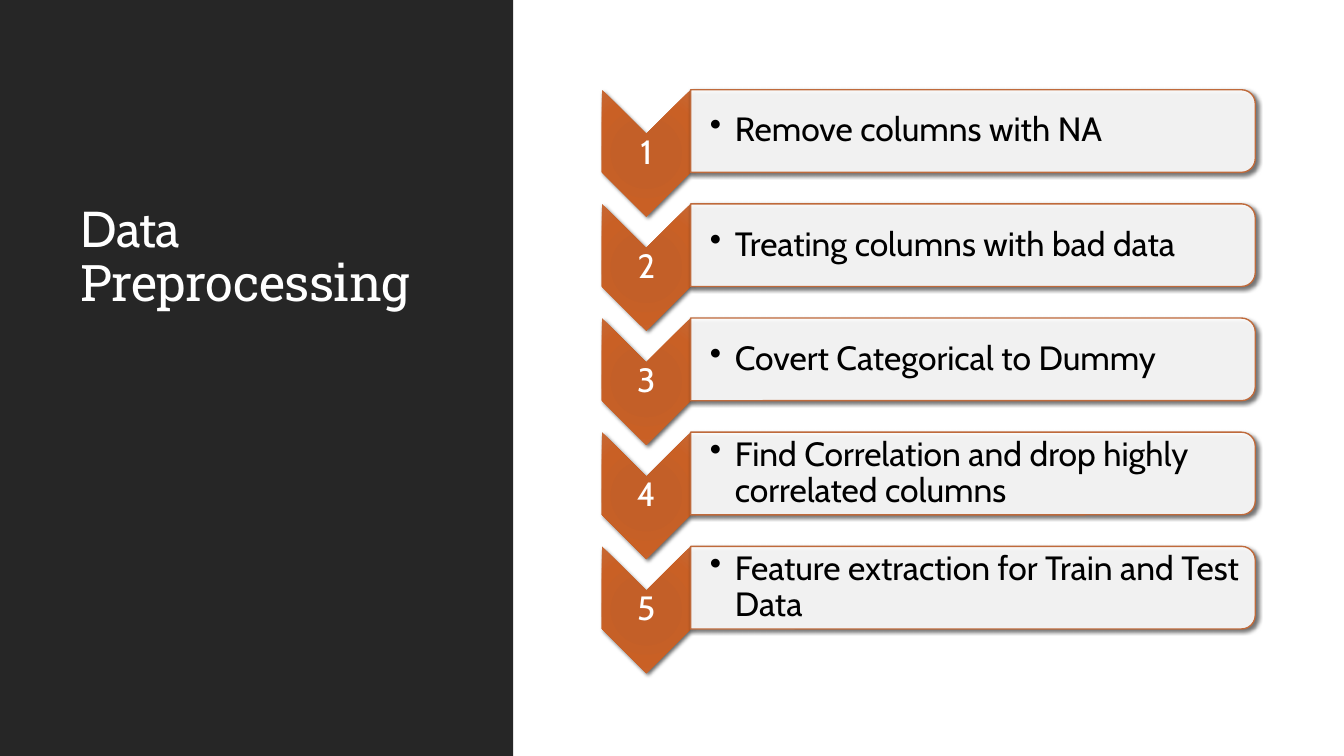
import pptx
import pptx.dml.color
import pptx.enum.shapes
import pptx.enum.text
import pptx.oxml
import pptx.oxml.ns
import pptx.util
from pptx.util import Inches

RGBColor = pptx.dml.color.RGBColor
MSO_SHAPE = pptx.enum.shapes.MSO_SHAPE
ANCHOR = pptx.enum.text.MSO_ANCHOR
ALIGN = pptx.enum.text.PP_ALIGN

WHITE = RGBColor(0xFF, 0xFF, 0xFF)
BLACK = RGBColor(0x00, 0x00, 0x00)
PANEL = RGBColor(0x26, 0x26, 0x26)
BAR_LINE = RGBColor(0xBF, 0x6A, 0x3B)
CHEVRON_STOPS = [
    (0, RGBColor(0xC4, 0x5D, 0x25)),
    (34, RGBColor(0xC3, 0x5F, 0x28)),
    (70, RGBColor(0xC9, 0x60, 0x25)),
    (100, RGBColor(0xC6, 0x68, 0x34)),
]

BODY_FONT = "Cabin"
TITLE_FONT = "Roboto Slab"

STEPS = [
    "Remove columns with NA",
    "Treating columns with bad data",
    "Covert Categorical to Dummy",
    "Find Correlation and drop highly correlated columns",
    "Feature extraction for Train and Test Data",
]
FIRST_TOP = 0.89
STEP_PITCH = 4.53 / 4  # first step to last step, in four equal gaps


def xml(text):
    return pptx.oxml.parse_xml(text.replace(">", f" {pptx.oxml.ns.nsdecls('a')}>", 1))


def add_panel(slide):
    sp = slide.shapes.add_shape(MSO_SHAPE.RECTANGLE, 0, 0, Inches(5.09), Inches(7.5))
    sp.shadow.inherit = False
    sp.fill.solid()
    sp.fill.fore_color.rgb = PANEL
    sp.line.fill.background()


def style_run(r, size, color, font=BODY_FONT):
    r.font.size = pptx.util.Pt(size)
    r.font.name = font
    r.font.color.rgb = color


def add_text_box(slide, left, top, width, height, anchor):
    """Add a wrapping text box and return it with its first paragraph."""
    sp = slide.shapes.add_textbox(Inches(left), Inches(top), Inches(width), Inches(height))
    tf = sp.text_frame
    tf.word_wrap = True
    tf.vertical_anchor = anchor
    p = tf.paragraphs[0]
    p.line_spacing = 0.9
    return tf, p


def add_title(slide):
    tf, p = add_text_box(slide, 0.7, 0.86, 3.85, 2.29, ANCHOR.BOTTOM)
    for text, font in (("Data", BODY_FONT), (" Preprocessing", TITLE_FONT)):
        r = p.add_run()
        r.text = text
        style_run(r, 36, WHITE, font)
        r.font._element.set("spc", "-50")


def add_label(slide, left, top, width, height, text, color, inset_left=0.02):
    tf, p = add_text_box(slide, left, top, width, height, ANCHOR.MIDDLE)
    tf.margin_left = Inches(inset_left)
    tf.margin_top = tf.margin_right = tf.margin_bottom = Inches(0.02)
    p.text = text
    style_run(p.runs[0], 24, color)
    return p


def add_bullet(p):
    pPr = p._p.get_or_add_pPr()
    pPr.set("marL", str(Inches(0.25)))
    pPr.set("indent", str(Inches(-0.25)))
    pPr.append(xml('<a:buChar char="•"/>'.replace("/>", "></a:buChar>")))


def add_turned_shape(slide, kind, left, top, width, height):
    """Add a shadowed shape turned by 90 degrees that covers the given area."""
    x = left + (width - height) / 2
    y = top + (height - width) / 2
    sp = slide.shapes.add_shape(kind, Inches(x), Inches(y), Inches(height), Inches(width))
    sp.rotation = 90
    sp.shadow.inherit = False
    effects = sp._element.spPr.find(pptx.oxml.ns.qn("a:effectLst"))
    effects.append(xml(
        '<a:outerShdw blurRad="38100" dist="25400" dir="2700000" rotWithShape="0">'
        '<a:srgbClr val="000000"><a:alpha val="60000"/></a:srgbClr></a:outerShdw>'))
    return sp


def add_chevron(slide, top):
    sp = add_turned_shape(slide, MSO_SHAPE.CHEVRON, 5.97, top, 0.88, 1.26)
    sp.line.fill.background()
    sp.fill.background()
    spPr = sp._element.spPr
    stops = "".join(
        f'<a:gs pos="{pos * 1000}"><a:srgbClr val="{color}"/></a:gs>'
        for pos, color in CHEVRON_STOPS)
    spPr.replace(spPr.find(pptx.oxml.ns.qn("a:noFill")), xml(
        f'<a:gradFill rotWithShape="1"><a:gsLst>{stops}</a:gsLst><a:path path="circle">'
        '<a:fillToRect l="100000" t="100000" r="100000" b="100000"/></a:path></a:gradFill>'))


def add_bar(slide, top):
    sp = add_turned_shape(slide, MSO_SHAPE.ROUND_2_SAME_RECTANGLE, 6.85, top, 5.6, 0.82)
    sp.fill.solid()
    sp.fill.fore_color.rgb = WHITE
    color = sp._element.spPr.find(".//" + pptx.oxml.ns.qn("a:srgbClr"))
    color.append(xml('<a:alpha val="90000"></a:alpha>'))
    sp.line.color.rgb = BAR_LINE
    sp.line.width = pptx.util.Pt(1)


def add_step(slide, number, text):
    top = FIRST_TOP + (number - 1) * STEP_PITCH
    add_chevron(slide, top)
    p = add_label(slide, 5.97, top + 0.44, 0.88, 0.38, str(number), WHITE)
    p.alignment = ALIGN.CENTER
    add_bar(slide, top)
    p = add_label(slide, 6.85, top + 0.04, 5.56, 0.74, text, BLACK, inset_left=0.19)
    add_bullet(p)


def main():
    prs = pptx.Presentation()
    prs.slide_width = Inches(13.33)
    prs.slide_height = Inches(7.5)
    slide = prs.slides.add_slide(prs.slide_layouts[6])

    # Dark title panel
    add_panel(slide)
    add_title(slide)

    # Numbered steps
    for number, text in enumerate(STEPS, start=1):
        add_step(slide, number, text)

    prs.save("out.pptx")


if __name__ == "__main__":
    main()
